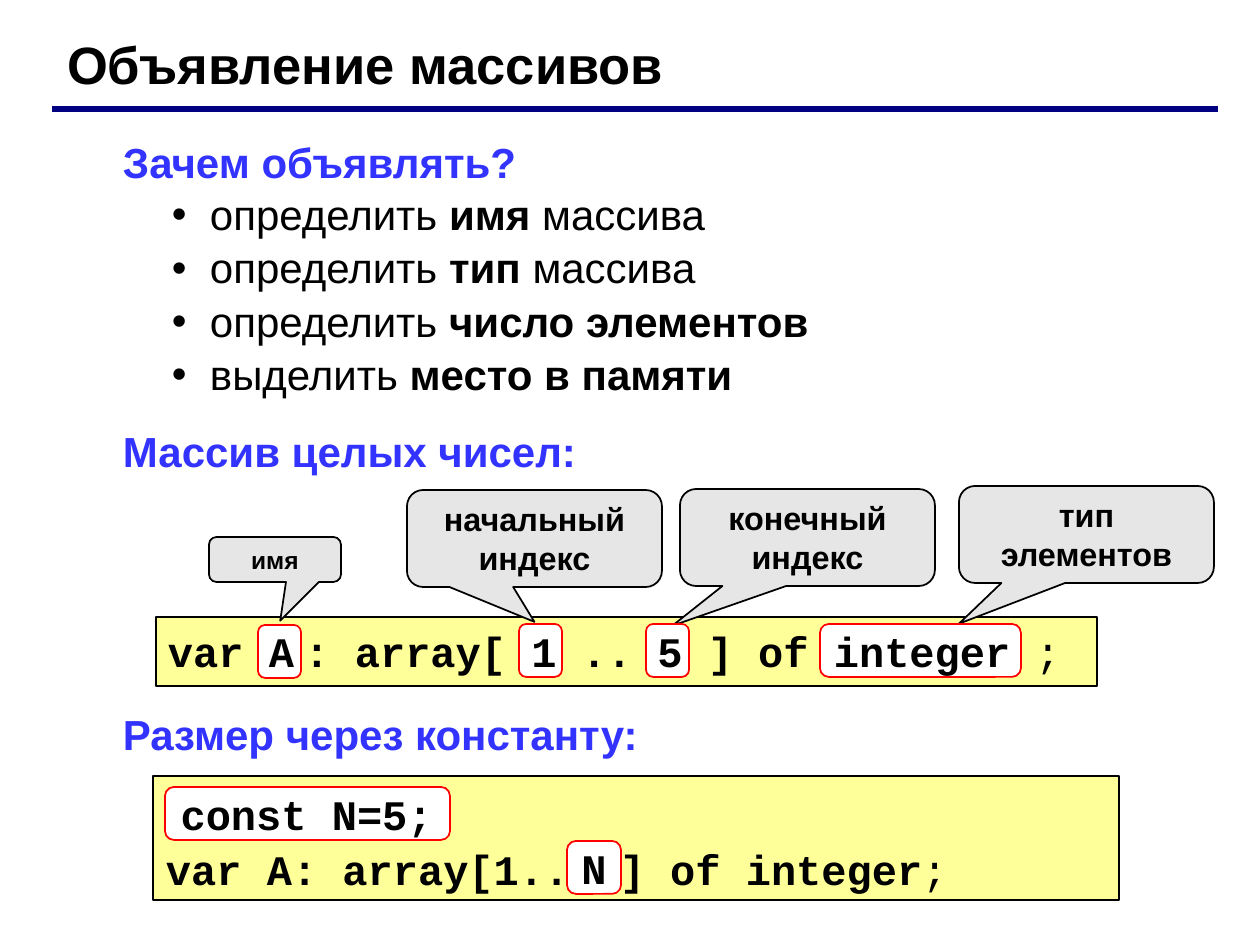
from dataclasses import dataclass

from lxml import etree
from pptx import Presentation
from pptx.dml.color import RGBColor
from pptx.enum.shapes import MSO_CONNECTOR, MSO_SHAPE
from pptx.enum.text import MSO_ANCHOR, MSO_AUTO_SIZE, PP_ALIGN
from pptx.oxml.ns import qn
from pptx.util import Emu, Pt

RECT, ROUND = MSO_SHAPE.RECTANGLE, MSO_SHAPE.ROUNDED_RECTANGLE
CALLOUT = MSO_SHAPE.ROUNDED_RECTANGULAR_CALLOUT
STRAIGHT = MSO_CONNECTOR.STRAIGHT
TOP, MIDDLE, BOTTOM = MSO_ANCHOR.TOP, MSO_ANCHOR.MIDDLE, MSO_ANCHOR.BOTTOM
LEFT, CENTER = PP_ALIGN.LEFT, PP_ALIGN.CENTER
NO_FIT = MSO_AUTO_SIZE.NONE
PX_PER_INCH = 126


@dataclass(frozen=True)
class Theme:
    sans: str = "Arial"
    mono: str = "Courier New"
    black: str = "000000"
    heading: str = "3333FF"
    rule: str = "000080"
    code: str = "FFFF99"
    callout: str = "E6E6E6"
    white: str = "FFFFFF"
    mark: str = "FF0000"
    title_size: float = 30
    body_size: float = 24
    callout_size: float = 18.5
    small_size: float = 14
    gap_size: float = 10


@dataclass(frozen=True)
class Box:
    x: int
    y: int
    w: int
    h: int


@dataclass(frozen=True)
class Run:
    text: str
    bold: bool = True
    size: float = 24
    color: str = "000000"
    font: str = "Arial"


@dataclass(frozen=True)
class Callout:
    box: Box
    lines: tuple[str, ...]
    size: float
    tip: tuple[float, float]


@dataclass(frozen=True)
class Mark:
    box: Box
    text: str = ""
    align: int = LEFT


T = Theme()
BULLETS = (
    (("определить ", False), ("имя ", True), ("массива", False)),
    (("определить ", False), ("тип", True), (" массива", False)),
    (("определить ", False), ("число элементов", True)),
    (("выделить ", False), ("место в памяти", True)),
)
CALLOUTS = (
    Callout(Box(209, 537, 132, 45), ("имя",), T.small_size, (0.04, 1.36)),
    Callout(Box(407, 490, 255, 97), ("начальный индекс",), T.callout_size, (0, 0.86)),
    Callout(Box(680, 489, 255, 97), ("конечный индекс",), T.callout_size, (-0.53, 0.91)),
    Callout(Box(959, 486, 255, 97), ("тип", "элементов"), T.callout_size, (-0.5, 0.92)),
)
MARKS = (
    Mark(Box(165, 787, 285, 53), "const N=5;"),
    Mark(Box(567, 841, 54, 53), "N", CENTER),
    Mark(Box(258, 625, 43, 53)),
    Mark(Box(519, 624, 43, 53)),
    Mark(Box(646, 624, 43, 53)),
    Mark(Box(820, 624, 201, 53)),
)


def px(n: int) -> Emu:
    return Emu(round(n * 914400 / PX_PER_INCH))


def rgb(color: str) -> RGBColor:
    return RGBColor.from_string(color)


def place(box: Box) -> tuple[Emu, ...]:
    return px(box.x), px(box.y), px(box.w), px(box.h)


def frame(sp, anchor=TOP, wrap: bool = True):
    tf = sp.text_frame
    fmt = {"word_wrap": wrap, "auto_size": NO_FIT, "vertical_anchor": anchor,
           "margin_left": px(13), "margin_right": px(13),
           "margin_top": px(6), "margin_bottom": px(6)}
    for name, value in fmt.items():
        setattr(tf, name, value)
    return tf


def write(p, runs: list[Run], align=LEFT, before: float = 0, spacing: float = 1) -> None:
    fmt = {"alignment": align, "space_before": Pt(before), "line_spacing": spacing}
    for name, value in fmt.items():
        setattr(p, name, value)
    for run in runs:
        r = p.add_run()
        r.text = run.text
        for name, value in {"name": run.font, "size": Pt(run.size), "bold": run.bold}.items():
            setattr(r.font, name, value)
        r.font.color.rgb = rgb(run.color)


def add_bullet(p) -> None:
    pPr = p._p.get_or_add_pPr()
    pPr.set("marL", str(px(87)))
    pPr.set("indent", str(px(-38)))
    clr = etree.SubElement(pPr, qn("a:buClr"))
    etree.SubElement(clr, qn("a:srgbClr"), val=T.black)
    etree.SubElement(pPr, qn("a:buFont"), typeface=T.sans)
    etree.SubElement(pPr, qn("a:buChar"), char="•")


def add_shape(s, kind, box: Box, fill: str, line: str = T.black):
    sp = s.shapes.add_shape(kind, *place(box))
    sp.shadow.inherit = False
    sp.fill.solid()
    sp.fill.fore_color.rgb = rgb(fill)
    sp.line.color.rgb = rgb(line)
    sp.line.width = Pt(1)
    return sp


def add_title(s) -> None:
    sp = s.shapes.title
    sp.left, sp.top, sp.width, sp.height = place(Box(54, 26, 1121, 76))
    write(frame(sp).paragraphs[0], [Run("Объявление массивов", size=T.title_size)])
    cxn = s.shapes.add_connector(STRAIGHT, px(52), px(109), px(1218), px(109))
    cxn.line.color.rgb = rgb(T.rule)
    cxn.line.width = Pt(3)
    etree.SubElement(cxn._element.spPr, qn("a:effectLst"))


def add_body(s) -> None:
    tf = frame(s.shapes.add_textbox(*place(Box(110, 130, 1140, 635))))
    write(tf.paragraphs[0], [Run("Зачем объявлять?", color=T.heading)])
    for parts in BULLETS:
        p = tf.add_paragraph()
        write(p, [Run(text, bold) for text, bold in parts], before=4.5, spacing=0.9)
        add_bullet(p)
    for text, before in (("Массив целых чисел:", 15), ("Размер через константу:", 133)):
        write(tf.add_paragraph(), [Run(text, color=T.heading)], before=before)


def add_callout(s, c: Callout) -> None:
    sp = add_shape(s, CALLOUT, c.box, T.callout)
    sp.adjustments[0], sp.adjustments[1] = c.tip
    tf = frame(sp, MIDDLE)
    for i, line in enumerate(c.lines):
        p = tf.add_paragraph() if i else tf.paragraphs[0]
        write(p, [Run(line, size=c.size)], CENTER)


def add_mark(s, m: Mark) -> None:
    sp = add_shape(s, ROUND, m.box, T.white, T.mark)
    if m.text:
        write(frame(sp, MIDDLE, False).paragraphs[0], [Run(m.text, font=T.mono)], m.align)


def main() -> None:
    prs = Presentation()
    prs.slide_width, prs.slide_height = px(1260), px(945)
    s = prs.slides.add_slide(prs.slide_layouts[5])
    add_title(s)
    add_shape(s, RECT, Box(156, 617, 941, 69), T.code)
    add_body(s)
    for c in CALLOUTS:
        add_callout(s, c)
    sp = add_shape(s, RECT, Box(153, 776, 966, 124), T.code)
    write(frame(sp, BOTTOM).paragraphs[0],
          [Run("var A: array[1..  ] of integer", font=T.mono), Run(";", False, font=T.mono)])
    for m in MARKS:
        add_mark(s, m)
    sp = s.shapes.add_textbox(*place(Box(155, 620, 931, 63)))
    write(frame(sp).paragraphs[0],
          [Run("var A", font=T.mono), Run(" ", size=T.gap_size, font=T.mono),
           Run(": array[ 1 .. 5 ] of integer ", font=T.mono), Run(";", False, font=T.mono)])
    prs.save("out.pptx")


if __name__ == "__main__":
    main()
